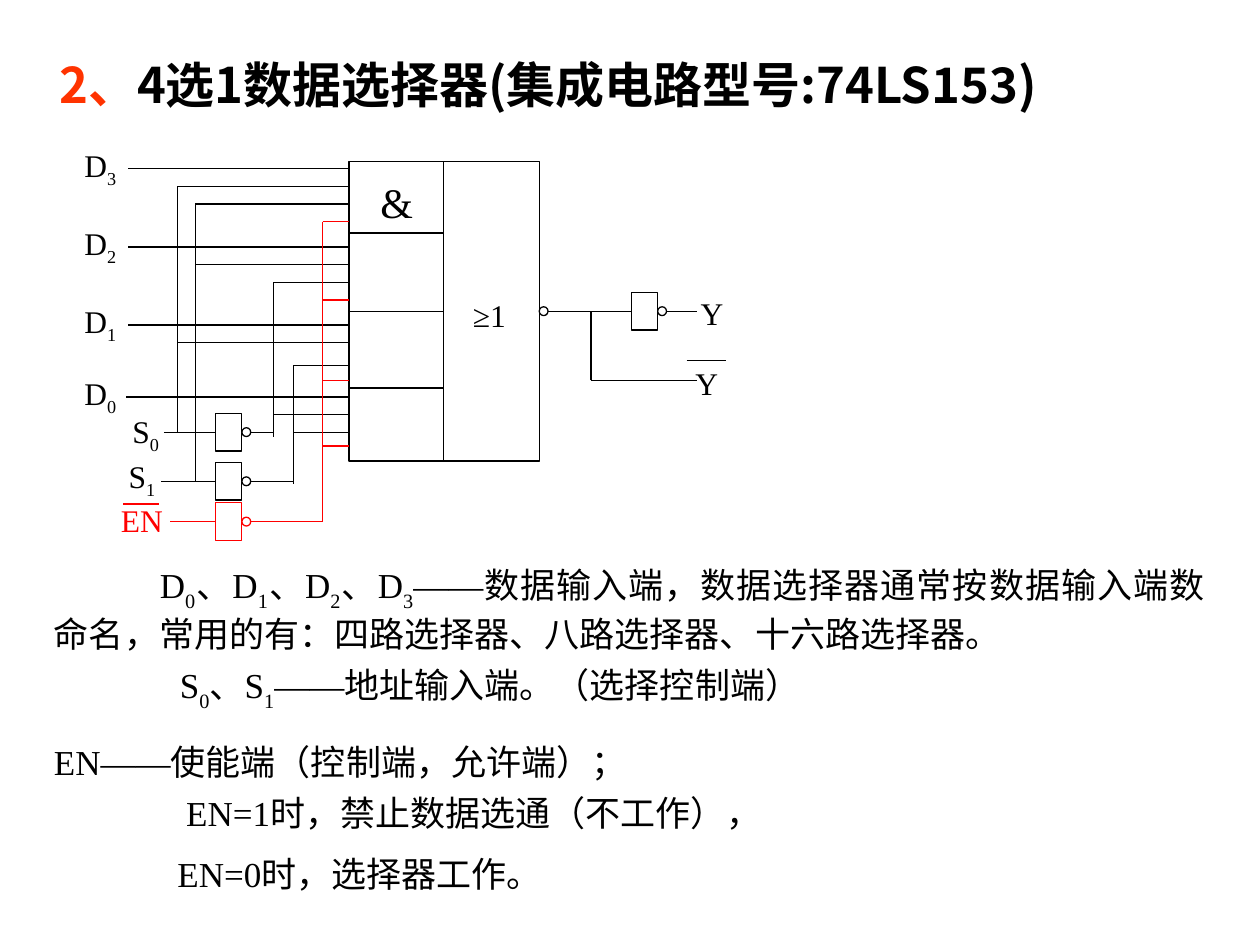
from dataclasses import dataclass

from lxml.etree import SubElement
from pptx import Presentation
from pptx.dml.color import RGBColor as RGB
from pptx.enum.shapes import MSO_CONNECTOR as LINK, MSO_SHAPE as SHAPE
from pptx.enum.text import MSO_ANCHOR as ANCHOR, PP_ALIGN as ALIGN
from pptx.oxml.ns import qn
from pptx.util import Inches, Pt


@dataclass(frozen=True)
class Theme:
    ink: RGB = RGB(0, 0, 0)
    enable: RGB = RGB(255, 0, 0)
    accent: RGB = RGB(255, 51, 0)
    paper: RGB = RGB(255, 255, 255)
    latin: str = "Times New Roman"
    chinese: str = "Noto Sans CJK SC"
    title: int = 28
    gate: int = 24
    body: int = 20
    label: int = 18
    line: float = 0.75


theme = Theme()


def write(paragraph, text, size, color=theme.ink, font=theme.latin, drop=-25):
    """Add runs; the character after each underscore becomes a subscript."""
    head, *tails = text.split("_")
    pieces = [(head, 0)]
    for tail in tails:
        pieces += [(tail[0], drop), (tail[1:], 0)]
    for piece, baseline in pieces:
        if not piece:
            continue
        run = paragraph.add_run()
        run.text = piece
        run.font.size = Pt(size)
        run.font.name = font
        run.font.color.rgb = color
        properties = run.font._element
        SubElement(properties, qn("a:ea")).set("typeface", theme.chinese)
        if baseline:
            properties.set("baseline", str(baseline * 1000))


def wire(shapes, x1, y1, x2, y2, color=theme.ink):
    line = shapes.add_connector(LINK.STRAIGHT, Inches(x1), Inches(y1), Inches(x2), Inches(y2))
    line.line.color.rgb = color
    line.line.width = Pt(theme.line)
    SubElement(line._element.spPr, qn("a:effectLst"))
    return line


deck = Presentation()
deck.slide_width, deck.slide_height = Inches(10), Inches(7.5)
slide = deck.slides.add_slide(deck.slide_layouts[5])

# Title
title = slide.shapes.title
title.left, title.top = Inches(0.37), Inches(0.38)
title.width, title.height = Inches(9.01), Inches(0.57)
title.text_frame.vertical_anchor = ANCHOR.MIDDLE
heading = title.text_frame.paragraphs[0]
heading.alignment = ALIGN.LEFT
heading.font.bold = True
write(heading, "2、", theme.title, theme.accent, theme.chinese)
write(heading, "4选1数据选择器(集成电路型号:74LS153)", theme.title, theme.ink, theme.chinese)
for run in heading.runs:
    run.font.bold = True

# Explanations: (top, height, [(text, first-line indent, space before, alignment)])
explanations = [
    (4.42, 1.27, [
        ("D_0、D_1、D_2、D_3——数据输入端，数据选择器通常按数据输入端数命名，"
         "常用的有：四路选择器、八路选择器、十六路选择器。", 0.84, 0, ALIGN.JUSTIFY),
        ("S_0、S_1——地址输入端。（选择控制端）", 1, 5, ALIGN.JUSTIFY),
    ]),
    (5.83, 1.53, [
        ("EN——使能端（控制端，允许端）；", 0, 0, ALIGN.LEFT),
        ("EN=1时，禁止数据选通（不工作），", 1.05, 5, ALIGN.LEFT),
        ("EN=0时，选择器工作。", 0.98, 11, ALIGN.LEFT),
    ]),
]
for top, height, paragraphs in explanations:
    frame = slide.shapes.add_textbox(
        Inches(0.33), Inches(top), Inches(9.33), Inches(height)).text_frame
    frame.word_wrap = True
    for number, (text, indent, before, alignment) in enumerate(paragraphs):
        paragraph = frame.add_paragraph() if number else frame.paragraphs[0]
        paragraph.alignment = alignment
        paragraph.space_before = Pt(before)
        paragraph._p.get_or_add_pPr().set("indent", str(Inches(indent)))
        write(paragraph, text, theme.body, drop=-30)

# Circuit: AND-OR block
circuit = slide.shapes.add_group_shape().shapes
block_left, and_right, block_right = 2.77, 3.52, 4.28
block_top, block_bottom, output_y = 1.28, 3.66, 2.47
block = circuit.add_shape(
    SHAPE.RECTANGLE, Inches(block_left), Inches(block_top),
    Inches(block_right - block_left), Inches(block_bottom - block_top))
wire(circuit, and_right, block_top, and_right, block_bottom)
for y in (1.85, output_y, 3.08):
    divider = wire(circuit, block_left, y, and_right, y)
    if y == output_y:
        divider.begin_connect(block, 1)

# Wires by signal: a vertical bus (x, top, bottom) and its taps into the block
for y, start in ((1.34, 1.02), (1.96, 1.02), (2.58, 1.02), (3.15, 1)):
    wire(circuit, start, y, block_left, y)
s0_y, s1_y, enable_y = 3.43, 3.82, 4.14
buses = [
    (1.41, 1.48, s0_y, (1.48, 2.72), theme.ink),
    (1.55, 1.62, s1_y, (1.62, 2.1), theme.ink),
    (2.17, 2.24, 3.47, (2.24, 3.29), theme.ink),
    (2.33, 2.9, 3.84, (2.9, s0_y), theme.ink),
    (2.56, 1.76, enable_y, (1.76, 2.38, 3.02, 3.54), theme.enable),
]
for x, top, bottom, taps, color in buses:
    wire(circuit, x, top, x, bottom, color)
    for y in taps:
        wire(circuit, x, y, block_left, y, color)

# Inverters: (gate left, wire y, input start, output end, colour)
gate_width, gate_height, bubble_size = 0.21, 0.3, 0.07
inverters = [
    (1.71, s0_y, 1.3, 2.17, theme.ink),
    (1.71, s1_y, 1.28, 2.33, theme.ink),
    (1.71, enable_y, 1.35, 2.56, theme.enable),
    (5.01, output_y, block_right, 5.53, theme.ink),
]
outlined = [(block, theme.ink)]
bubbles = [(block_right, output_y, theme.ink)]
for left, y, start, end, color in inverters:
    gate = circuit.add_shape(
        SHAPE.RECTANGLE, Inches(left), Inches(y - gate_height / 2),
        Inches(gate_width), Inches(gate_height))
    feed = wire(circuit, start, y, left, y, color)
    feed.end_connect(gate, 1)
    if start == block_right:
        feed.begin_connect(block, 3)
    wire(circuit, left + gate_width + bubble_size, y, end, y, color)
    outlined.append((gate, color))
    bubbles.append((left + gate_width, y, color))
for left, y, color in bubbles:
    bubble = circuit.add_shape(
        SHAPE.OVAL, Inches(left), Inches(y - bubble_size / 2),
        Inches(bubble_size), Inches(bubble_size))
    outlined.append((bubble, color))
for part, color in outlined:
    part.shadow.inherit = False
    part.fill.solid()
    part.fill.fore_color.rgb = theme.paper
    part.line.color.rgb = color
    part.line.width = Pt(theme.line)

# Inverted output branch and the bars over Y and EN
wire(circuit, 4.69, output_y, 4.69, 3.02)
wire(circuit, 4.69, 3.02, 5.53, 3.02)
wire(circuit, 5.45, 2.86, 5.76, 2.86)
wire(circuit, 0.98, 4, 1.26, 4, theme.enable)

# Labels: (text, left, top, width, size, colour, alignment)
labels = [
    ("D_3", 0.67, 1.16, 0.34, theme.label, theme.ink, ALIGN.LEFT),
    ("D_2", 0.67, 1.78, 0.34, theme.label, theme.ink, ALIGN.LEFT),
    ("D_1", 0.67, 2.4, 0.34, theme.label, theme.ink, ALIGN.LEFT),
    ("D_0", 0.67, 2.97, 0.34, theme.label, theme.ink, ALIGN.LEFT),
    ("S_0", 1.05, 3.27, 0.25, theme.label, theme.ink, ALIGN.LEFT),
    ("S_1", 1.02, 3.63, 0.25, theme.label, theme.ink, ALIGN.LEFT),
    ("EN", 0.96, 3.98, 0.39, theme.label, theme.enable, ALIGN.LEFT),
    ("Y", 5.56, 2.33, 0.25, theme.label, theme.ink, ALIGN.LEFT),
    ("Y", 5.52, 2.89, 0.3, theme.label, theme.ink, ALIGN.LEFT),
    ("≥1", 3.67, 2.35, 0.43, theme.label, theme.ink, ALIGN.CENTER),
    ("&", 3.02, 1.4, 0.3, theme.gate, theme.ink, ALIGN.LEFT),
]
for text, left, top, width, size, color, alignment in labels:
    frame = circuit.add_textbox(
        Inches(left), Inches(top), Inches(width), Inches(0.32)).text_frame
    frame.margin_left = frame.margin_right = frame.margin_top = frame.margin_bottom = 0
    frame.paragraphs[0].alignment = alignment
    write(frame.paragraphs[0], text, size, color)

deck.save("out.pptx")
